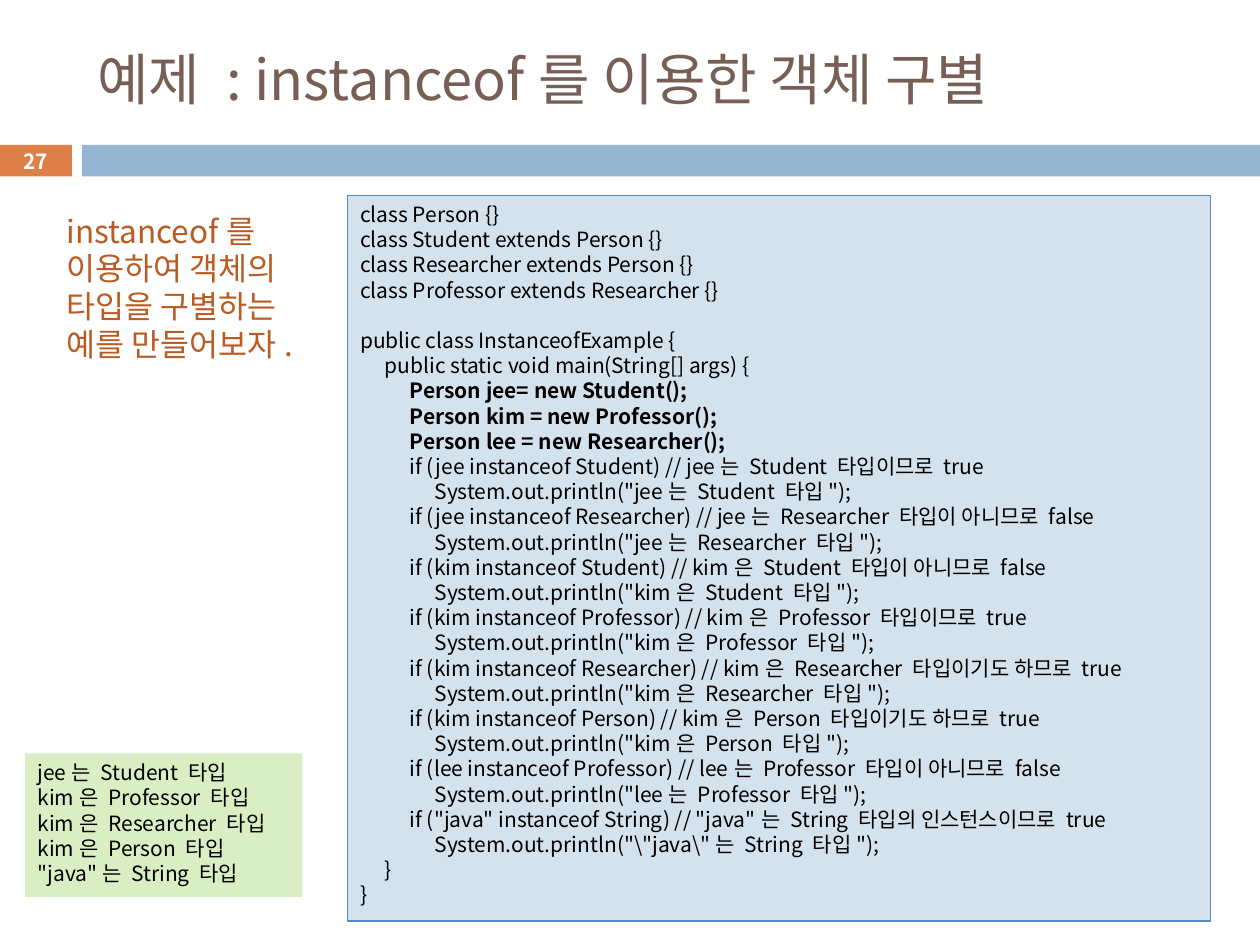
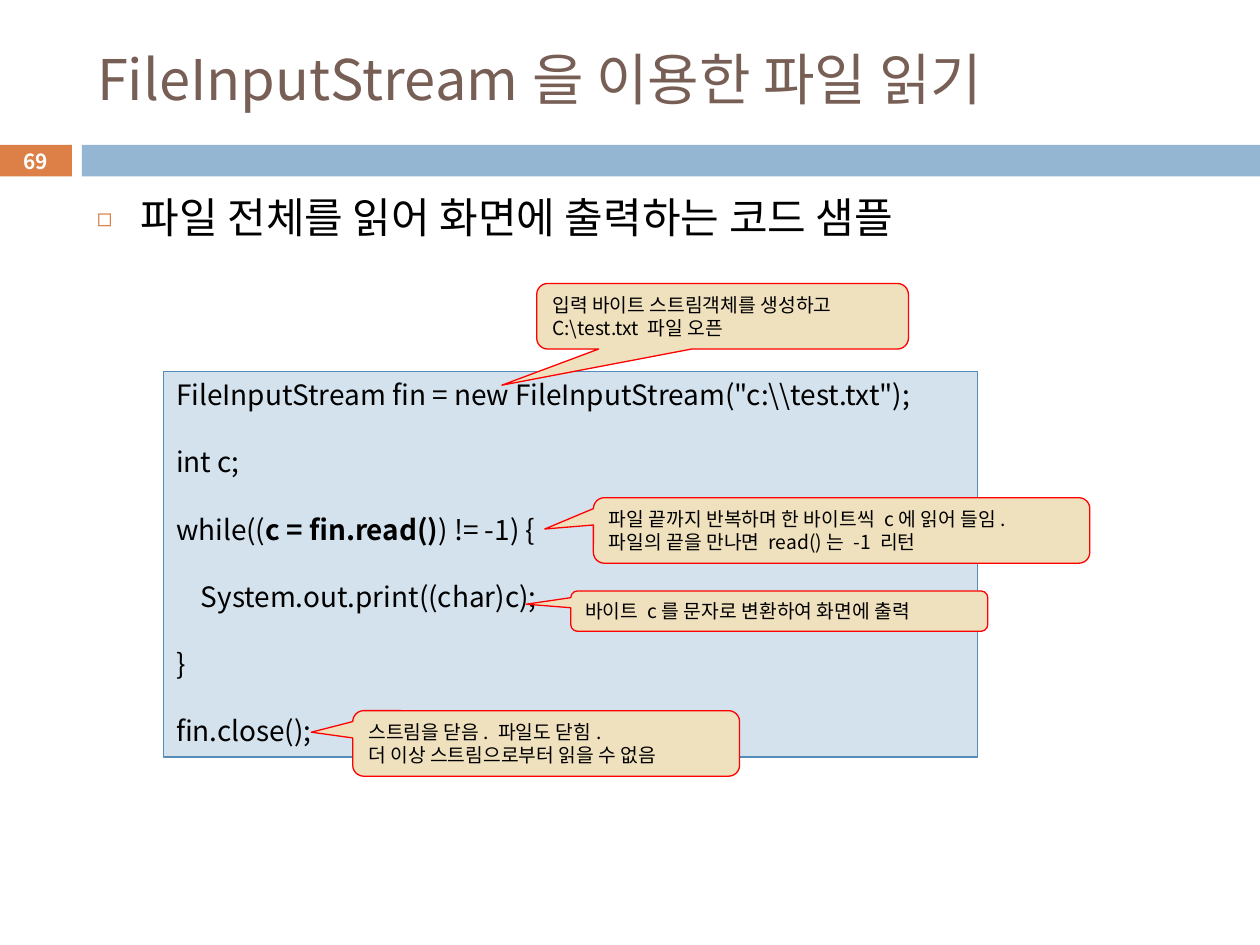
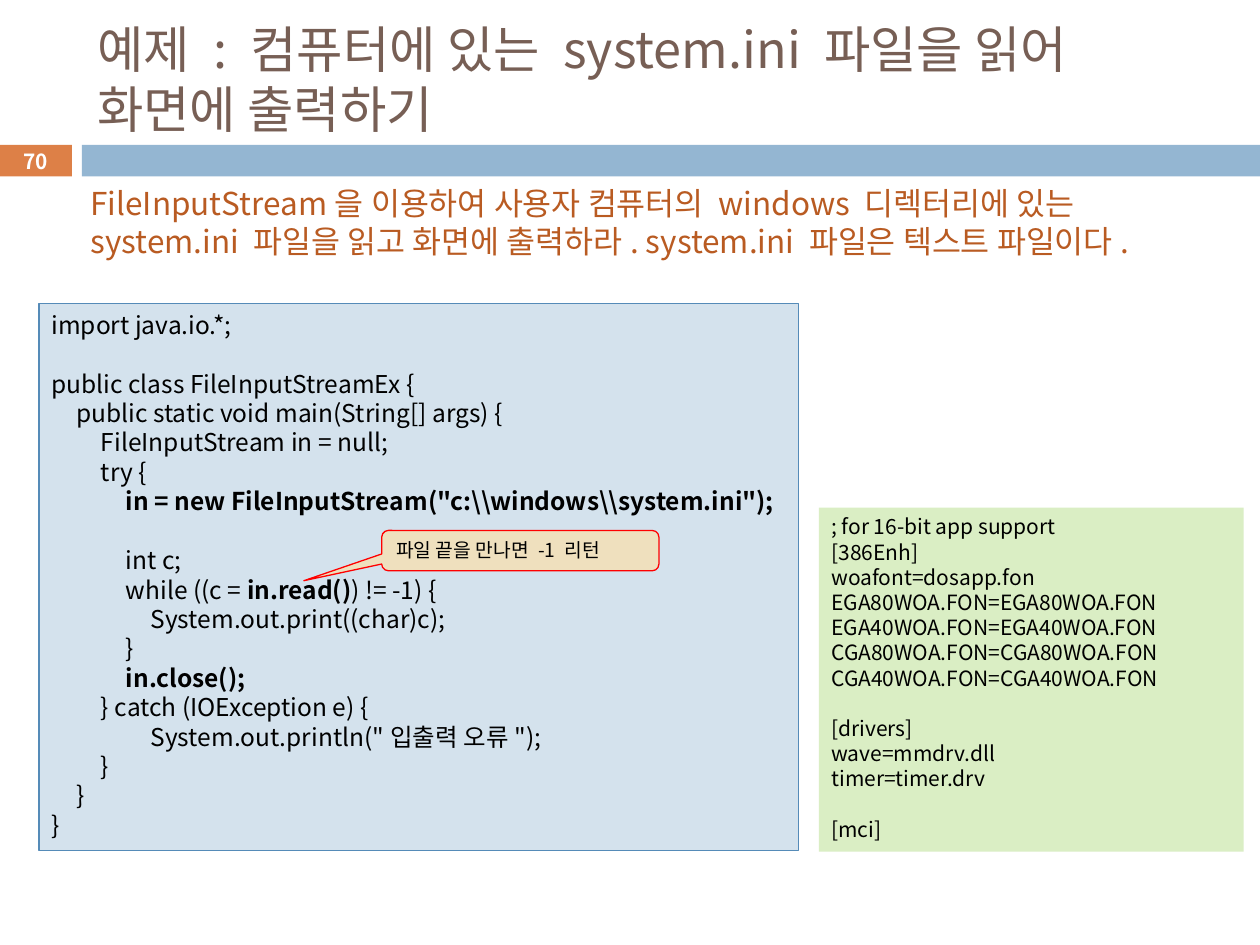
"""Build three Java lecture slides about instanceof and FileInputStream."""
from lxml.etree import SubElement
from pptx import Presentation
from pptx.dml.color import RGBColor
from pptx.enum.shapes import MSO_SHAPE
from pptx.enum.text import MSO_ANCHOR, MSO_AUTO_SIZE, PP_ALIGN
from pptx.oxml.ns import qn
from pptx.util import Pt

FONT = "Noto Sans CJK KR"
LINE_HEIGHT = 1.2
INDENT = "    "
TAB_STEP = 14.17
COLORS = {
    "title": "775F55",
    "number": "DD8047",
    "band": "94B6D2",
    "task": "B95B22",
    "code": "D4E2ED",
    "code_edge": "558BB8",
    "output": "DAEEC4",
    "note": "EFE0BE",
    "note_edge": "FF0000",
    "text": "000000",
    "white": "FFFFFF",
}

CLASSES_CODE = '''class Person {}
class Student extends Person {}
class Researcher extends Person {}
class Professor extends Researcher {}

public class InstanceofExample {
    public static void main(String[] args) {
        **Person jee= new Student();**
        **Person kim = new Professor();**
        **Person lee = new Researcher();**'''

CHECKS = [
    ("jee", "는", "Student", "타입이므로 true"),
    ("jee", "는", "Researcher", "타입이 아니므로 false"),
    ("kim", "은", "Student", "타입이 아니므로 false"),
    ("kim", "은", "Professor", "타입이므로 true"),
    ("kim", "은", "Researcher", "타입이기도 하므로 true"),
    ("kim", "은", "Person", "타입이기도 하므로 true"),
    ("lee", "는", "Professor", "타입이 아니므로 false"),
    ('"java"', "는", "String", "타입의 인스턴스이므로 true"),
]

INSTANCEOF_OUTPUT = '''jee는 Student 타입
kim은 Professor 타입
kim은 Researcher 타입
kim은 Person 타입
"java"는 String 타입'''

READ_CODE = r'''FileInputStream fin = new FileInputStream("c:\\test.txt");

int c;

while((**c = fin.read()**) != -1) {

    System.out.print((char)c);

}

fin.close();'''

READ_NOTES = [
    ((306.72, 162, 212.4, 37.44), (-0.594, 1.052),
     "입력 바이트 스트림객체를 생성하고\nC:\\test.txt 파일 오픈"),
    ((339.12, 284.4, 283.68, 37.44), (-0.598, -0.022),
     "파일 끝까지 반복하며 한 바이트씩 c에 읽어 들임.\n파일의 끝을 만나면 read()는 -1 리턴"),
    ((326.16, 337.68, 238.32, 23.04), (-0.607, -0.171),
     "바이트 c를 문자로 변환하여 화면에 출력"),
    ((201.6, 406.08, 221.04, 37.44), (-0.607, -0.171),
     "스트림을 닫음. 파일도 닫힘.\n더 이상 스트림으로부터 읽을 수 없음"),
]

SYSTEM_CODE = r'''import java.io.*;

public class FileInputStreamEx {
    public static void main(String[] args) {
        FileInputStream in = null;
        try {
            **in = new FileInputStream("c:\\windows\\system.ini");**

            int c;
            while ((c = **in.read()**) != -1) {
                System.out.print((char)c);
            }
            **in.close();**
        } catch (IOException e) {
                System.out.println("입출력 오류");
        }
    }
}'''

SYSTEM_OUTPUT = '''; for 16-bit app support
[386Enh]
woafont=dosapp.fon
EGA80WOA.FON=EGA80WOA.FON
EGA40WOA.FON=EGA40WOA.FON
CGA80WOA.FON=CGA80WOA.FON
CGA40WOA.FON=CGA40WOA.FON

[drivers]
wave=mmdrv.dll
timer=timer.drv

[mci]'''


def rgb(name):
    """Return the named colour."""
    return RGBColor.from_string(COLORS[name])


def add_run(paragraph, words, size, color, bold):
    """Add one formatted run to a paragraph."""
    run = paragraph.add_run()
    run.text = words
    run.font.name = FONT
    run.font.size = Pt(size)
    run.font.bold = bold
    run.font.color.rgb = rgb(color)
    SubElement(run.font._element, qn("a:ea"), typeface=FONT)


def add_tabs(paragraph):
    """Set the indent stops of a code line."""
    stops = SubElement(paragraph._p.get_or_add_pPr(), qn("a:tabLst"))
    for level in range(1, 5):
        SubElement(stops, qn("a:tab"), pos=str(Pt(level * TAB_STEP)), algn="l")


def write(holder, text, size, color="text", bold=False, align=PP_ALIGN.LEFT,
          anchor=MSO_ANCHOR.TOP):
    """Fill a shape with lines; ** toggles bold and an empty line becomes a gap."""
    frame = holder.text_frame
    frame.word_wrap = True
    frame.auto_size = MSO_AUTO_SIZE.NONE
    frame.vertical_anchor = anchor
    paragraph, gap = frame.paragraphs[0], 0
    for index, line in enumerate(text.split("\n")):
        if not line:
            gap += size * LINE_HEIGHT
            continue
        if index:
            paragraph = frame.add_paragraph()
        if line.startswith(INDENT):
            add_tabs(paragraph)
        paragraph.alignment = align
        paragraph.line_spacing = Pt(size * LINE_HEIGHT)
        paragraph.space_before = Pt(gap)
        gap = 0
        for part, words in enumerate(line.replace(INDENT, "\t").split("**")):
            if words:
                add_run(paragraph, words, size, color, bold or part % 2 == 1)


def add_panel(slide, box, fill, edge=None, kind=MSO_SHAPE.RECTANGLE):
    """Add a flat filled shape, outlined when an edge colour is given."""
    panel = slide.shapes.add_shape(kind, *map(Pt, box))
    panel.shadow.inherit = False
    panel.fill.solid()
    panel.fill.fore_color.rgb = rgb(fill)
    if edge:
        panel.line.color.rgb = rgb(edge)
        panel.line.width = Pt(0.75)
    else:
        panel.line.fill.background()
    return panel


def add_text(slide, box, text, size, color="text"):
    """Add wrapped text without a background."""
    words = slide.shapes.add_textbox(*map(Pt, box))
    write(words, text, size, color)
    return words


def add_code(slide, box, code, size):
    """Add a source code panel."""
    write(add_panel(slide, box, "code", "code_edge"), code, size)


def add_output(slide, box, output):
    """Add a program output panel."""
    write(add_panel(slide, box, "output"), output, 12)


def add_note(slide, box, tip, text):
    """Add a callout whose tip is relative to its box."""
    note = add_panel(slide, box, "note", "note_edge",
                     MSO_SHAPE.ROUNDED_RECTANGULAR_CALLOUT)
    note.adjustments[0], note.adjustments[1] = tip
    note.adjustments[2] = 0.167
    write(note, text, 11)


def add_bullet(slide, box, text):
    """Add a top-level line with a small square bullet."""
    point = add_text(slide, box, text, 24)
    properties = point.text_frame.paragraphs[0]._p.get_or_add_pPr()
    properties.set("marL", str(Pt(25.2)))
    properties.set("indent", str(Pt(-25.2)))
    bullet_color = SubElement(properties, qn("a:buClr"))
    SubElement(bullet_color, qn("a:srgbClr"), val=COLORS["number"])
    SubElement(properties, qn("a:buSzPct"), val="60000")
    SubElement(properties, qn("a:buFont"), typeface=FONT)
    SubElement(properties, qn("a:buChar"), char="◻")


def start_slide(deck, title, number, size=32):
    """Add a slide with its title, band and number."""
    slide = deck.slides.add_slide(deck.slide_layouts[5])
    heading = slide.shapes.title
    heading.left, heading.top, heading.width, heading.height = map(
        Pt, (48.24, 18, 642.24, 53.28))
    write(heading, title, size, "title", anchor=MSO_ANCHOR.MIDDLE)
    add_panel(slide, (46.8, 82.8, 673.2, 18), "band")
    badge = add_panel(slide, (-0.72, 82.8, 41.76, 18), "number")
    write(badge, str(number), 11.9, "white", True, PP_ALIGN.CENTER,
          MSO_ANCHOR.MIDDLE)
    return slide


def instanceof_code():
    """Join the class definitions and the type checks."""
    lines = [CLASSES_CODE]
    for name, particle, kind, reason in CHECKS:
        quoted = name.replace('"', '\\"')
        lines += [
            f"{INDENT * 2}if ({name} instanceof {kind}) // {name}{particle} {kind} {reason}",
            f'{INDENT * 3}System.out.println("{quoted}{particle} {kind} 타입");',
        ]
    return "\n".join(lines + [INDENT + "}", "}"])


def build_instanceof(deck):
    """Build the instanceof example."""
    slide = start_slide(deck, "예제 : instanceof를 이용한 객체 구별", 27)
    add_text(slide, (30.96, 117.36, 166.32, 94.32),
             "instanceof를 이용하여 객체의 타입을 구별하는 예를 만들어보자.", 18, "task")
    add_code(slide, (198.72, 111.6, 493.2, 414.72), instanceof_code(), 12)
    add_output(slide, (14.4, 430.56, 158.4, 82.08), INSTANCEOF_OUTPUT)


def build_reading(deck):
    """Build the annotated file reading sample."""
    slide = start_slide(deck, "FileInputStream을 이용한 파일 읽기", 69)
    add_bullet(slide, (48.24, 105.84, 642.24, 396.72),
               "파일 전체를 읽어 화면에 출력하는 코드 샘플")
    add_code(slide, (93.6, 212.4, 465.12, 220.32), READ_CODE, 16)
    for box, tip, text in READ_NOTES:
        add_note(slide, box, tip, text)


def build_system_file(deck):
    """Build the system.ini example."""
    slide = start_slide(
        deck, "예제 : 컴퓨터에 있는 system.ini 파일을 읽어 화면에 출력하기", 70, 28.8)
    add_code(slide, (22.32, 173.52, 434.16, 312.48), SYSTEM_CODE, 14)
    add_output(slide, (468, 290.16, 242.64, 196.56), SYSTEM_OUTPUT)
    add_text(slide, (44.64, 101.52, 630, 51.12),
             "FileInputStream을 이용하여 사용자 컴퓨터의 windows 디렉터리에 있는 "
             "system.ini 파일을 읽고 화면에 출력하라. system.ini 파일은 텍스트 파일이다.",
             18, "task")
    add_note(slide, (218.16, 303.12, 158.4, 23.04), (-0.781, 0.747),
             "파일 끝을 만나면 -1 리턴")


def main():
    """Build and save the deck."""
    deck = Presentation()
    deck.slide_width, deck.slide_height = Pt(720), Pt(540)
    build_instanceof(deck)
    build_reading(deck)
    build_system_file(deck)
    deck.save("out.pptx")


if __name__ == "__main__":
    main()
